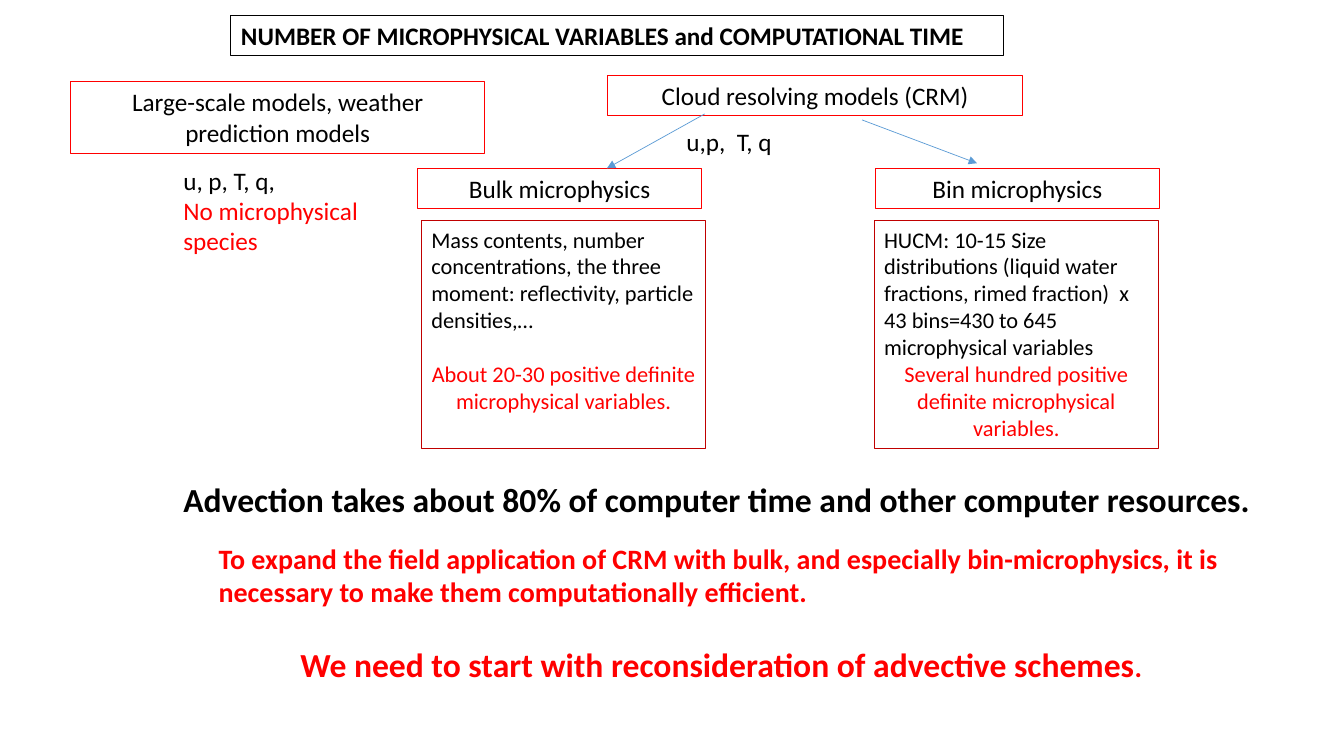
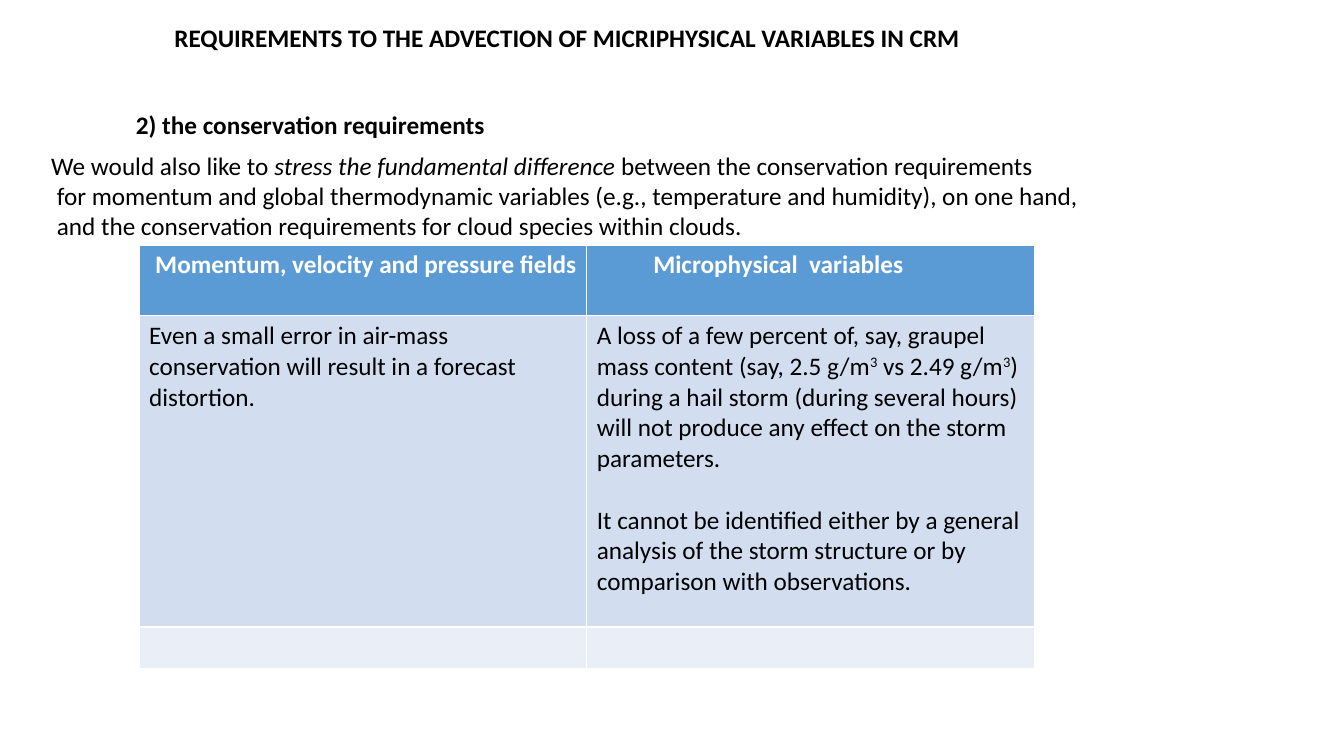
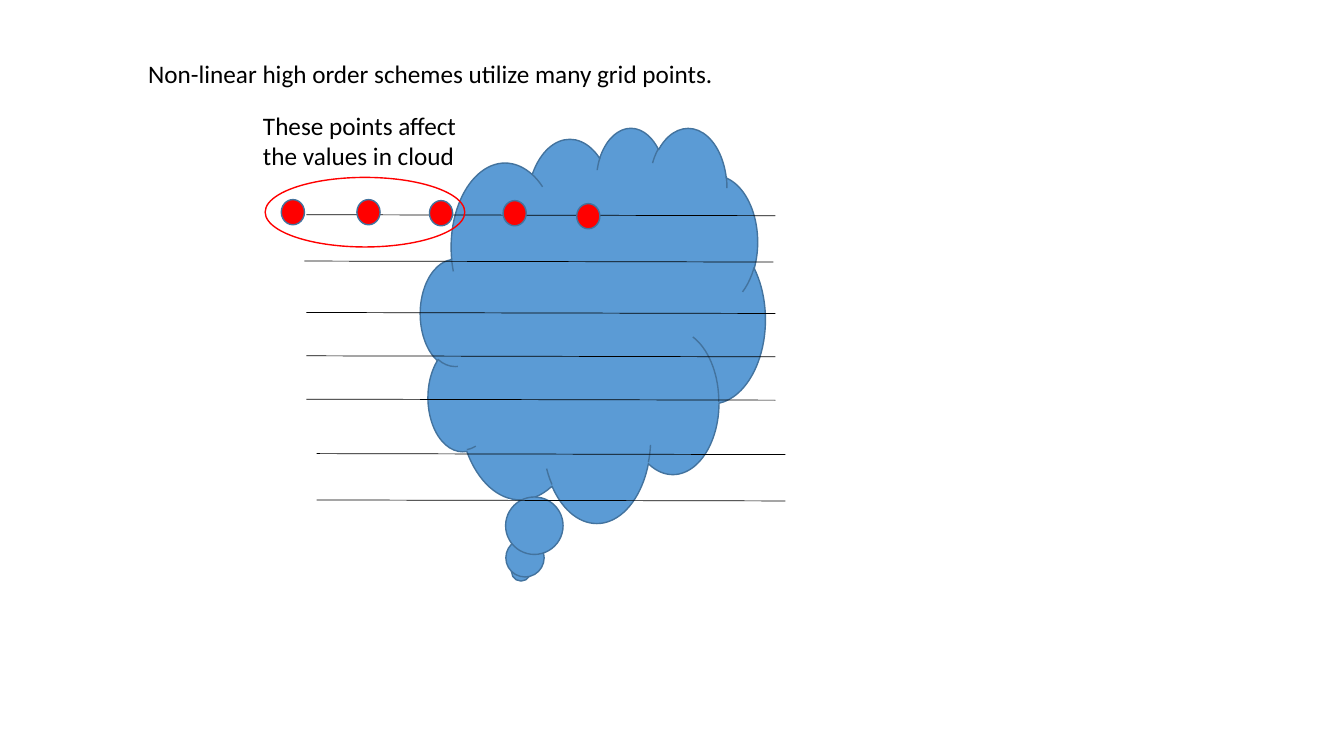
from lxml.etree import SubElement
from pptx import Presentation
from pptx.dml.color import RGBColor
from pptx.enum.shapes import MSO_CONNECTOR as CONN, MSO_SHAPE as SHAPE
from pptx.enum.text import MSO_ANCHOR as ANCHOR, MSO_AUTO_SIZE as AUTO, PP_ALIGN as ALIGN
from pptx.oxml.ns import qn
from pptx.util import Inches, Pt

FONT = "Calibri"
COLORS = {
    "black": "000000", "white": "FFFFFF", "red": "FF0000", "dark_red": "C00000",
    "blue": "5B9BD5", "outline": "43739E", "band": "D2DEEF", "pale": "EAEFF7",
}
RED = {"color": "red"}
SUP = {"base": "30000"}

# Slide 1: boxes are (place, line colour, paragraphs, text size)
# A paragraph is (runs, format); a run is (text, format).
TITLE_1 = "NUMBER OF MICROPHYSICAL VARIABLES and COMPUTATIONAL TIME"
CENTER = {"alignment": ALIGN.CENTER}


def line(text, fmt=None, **para):
    return [(text, fmt or {})], para


MODEL_BOXES = [
    ((0.7, 0.81, 4.11, 0.71), "red",
     [line("Large-scale models, weather prediction models", **CENTER)], 18),
    ((6.03, 0.75, 4.11, 0.4), "red", [line("Cloud resolving models (CRM)", **CENTER)], 18),
    ((4.14, 1.67, 2.82, 0.4), "red", [line("Bulk microphysics", **CENTER)], 18),
    ((8.68, 1.67, 2.82, 0.4), "red", [line("Bin microphysics", **CENTER)], 18),
    ((4.18, 2.19, 2.82, 2.26), "dark_red", [
        line("Mass contents, number concentrations, the three moment: "
             "reflectivity, particle densities,…", space_after=Pt(19.5)),
        line("About 20-30 positive definite microphysical variables.", RED, **CENTER)], 16),
    ((8.67, 2.19, 2.82, 2.26), "dark_red", [
        line("HUCM: 10-15 Size distributions (liquid water fractions, rimed fraction)  x "
             "43 bins=430 to 645 microphysical variables"),
        line("Several hundred positive definite microphysical variables.", RED, **CENTER)], 16),
]
ARROWS = [((6.99, 1.13), (6.02, 1.67)), ((8.55, 1.19), (9.69, 1.62))]
NOTES_1 = [
    ((1.72, 1.59, 2.17, 1.01), [line("u, p, T, q,"), line("No microphysical species", RED)], {}),
    ((6.71, 1.2, 1.32, 0.4), [line("u,p,  T, q")], {}),
    ((1.72, 4.7, 10.83, 0.5),
     [line("Advection takes about 80% of computer time and other computer resources.")],
     {"size": 24, "bold": True}),
    ((2.07, 5.32, 10.37, 0.78),
     [line("To expand the field application of CRM with bulk, and especially "
           "bin-microphysics, it is necessary to make them computationally efficient.")],
     {"size": 20, "bold": True, "color": "red"}),
    ((2.88, 6.34, 9.56, 0.5),
     [([("We need to start with reconsideration of advective schemes", {}),
        (".", {"size": 20})], {})],
     {"size": 24, "bold": True, "color": "red"}),
]

# Slide 2
TITLE_2 = "REQUIREMENTS TO THE ADVECTION OF MICRIPHYSICAL VARIABLES IN CRM"
NOTES_2 = [
    ((1.25, 1.04, 3.67, 0.4), [line("2) the conservation requirements")], {"bold": True}),
    ((0.41, 1.44, 10.51, 1.01), [
        ([("We would also like to ", {}),
          ("stress the fundamental difference", {"italic": True}),
          (" between the conservation requirements", {})], {}),
        line(" for momentum and global thermodynamic variables "
             "(e.g., temperature and humidity), on one hand,"),
        line(" and the conservation requirements for cloud species within clouds.")], {}),
]
TABLE_AT = (1.38, 2.43, 8.88, 4.2)
ROWS = [  # height, fill, text format, cells
    (0.7, "blue", {"bold": True, "color": "white"},
     [[line("Momentum, velocity and pressure fields")], [line("Microphysical  variables")]]),
    (3.09, "band", {"bold": False}, [
        [line("Even a small error in air-mass conservation will result in a forecast distortion.")],
        [([("A loss of a few percent of, say, graupel mass content (say, 2.5 g/m", {}),
           ("3", SUP), (" vs 2.49 g/m", {}), ("3", SUP),
           (") during a hail storm (during several hours) will not produce any effect "
            "on the storm parameters.", {})], {"space_after": Pt(22)}),
         line("It cannot be identified either by a general analysis of the storm structure "
              "or by comparison with observations.")]]),
    (0.41, "pale", {}, [[], []]),
]
HEADER_INDENTS = (0.16, 0.66)

# Slide 3
TITLE_3 = "Non-linear high order schemes utilize many grid points."
NOTES_3 = [((2.51, 1.04, 2.48, 0.71), [line("These points affect the values in cloud")], {})]
CLOUD_AT = (4.17, 1.26, 3.42, 3.92)
GRID_LINES = [(3.04, 2.13), (3.02, 2.59), (3.04, 3.1), (3.04, 3.53),
              (3.04, 3.96), (3.14, 4.5), (3.14, 4.96)]
GRID_LENGTH, GRID_DROP = 4.65, 0.01
POINTS = [(2.79, 1.98), (3.54, 1.98), (4.26, 1.99), (4.99, 1.99), (5.72, 2.02)]
POINT_SIZE = (0.23, 0.25)
RING_AT = (2.63, 1.76, 1.98, 0.69)


# Shared helpers
def rgb(name):
    return RGBColor.from_string(COLORS[name])


def inches(values):
    return [Inches(v) for v in values]


def write(tf, paras, **base):
    tf.word_wrap = True
    for i, (runs, para_fmt) in enumerate(paras):
        p = tf.paragraphs[0] if i == 0 else tf.add_paragraph()
        for name, value in para_fmt.items():
            setattr(p, name, value)
        for text, run_fmt in runs:
            fmt = {"name": FONT, "size": 18, "color": "black", **base, **run_fmt}
            r = p.add_run()
            r.text = text
            r.font.color.rgb = rgb(fmt.pop("color"))
            r.font.size = Pt(fmt.pop("size"))
            if "base" in fmt:
                r.font._element.set("baseline", fmt.pop("base"))
            for name, value in fmt.items():
                setattr(r.font, name, value)


def outline(shape, color, width):
    shape.line.color.rgb = rgb(color)
    shape.line.width = Pt(width)


def add_box(s, kind, at, color, width, fill=None):
    sp = s.shapes.add_shape(kind, *inches(at))
    sp.shadow.inherit = False
    if fill:
        sp.fill.solid()
        sp.fill.fore_color.rgb = rgb(fill)
    else:
        sp.fill.background()
    outline(sp, color, width)
    return sp


def add_line(s, start, end, color, arrow=False):
    c = s.shapes.add_connector(CONN.STRAIGHT, *inches(start + end))
    outline(c, color, 0.5)
    if arrow:
        SubElement(c.line._get_or_add_ln(), qn("a:tailEnd"), type="triangle")
    SubElement(c._element.spPr, qn("a:effectLst"))


def add_slide(prs, title, at, notes, **fmt):
    s = prs.slides.add_slide(prs.slide_layouts[5])
    sp = s.shapes.title
    sp.left, sp.top, sp.width, sp.height = inches(at)
    tf = sp.text_frame
    tf.auto_size, tf.vertical_anchor = AUTO.NONE, ANCHOR.TOP
    write(tf, [line(title, alignment=ALIGN.LEFT)], **fmt)
    for place, paras, note_fmt in notes:
        write(s.shapes.add_textbox(*inches(place)).text_frame, paras, **note_fmt)
    return s


# Slides
def models_slide(prs):
    s = add_slide(prs, TITLE_1, (2.29, 0.15, 7.66, 0.4), NOTES_1, bold=True)
    outline(s.shapes.title, "black", 0.75)
    for at, color, paras, size in MODEL_BOXES:
        tf = add_box(s, SHAPE.RECTANGLE, at, color, 0.75).text_frame
        tf.vertical_anchor = ANCHOR.TOP
        for para in paras:
            para[1].setdefault("alignment", ALIGN.LEFT)
        write(tf, paras, size=size)
    for start, end in ARROWS:
        add_line(s, start, end, "blue", arrow=True)


def requirements_slide(prs):
    s = add_slide(prs, TITLE_2, (1.63, 0.17, 8.07, 0.4), NOTES_2, bold=True)
    table = s.shapes.add_table(len(ROWS), 2, *inches(TABLE_AT)).table
    for i, (height, fill, fmt, cells) in enumerate(ROWS):
        table.rows[i].height = Inches(height)
        for j, paras in enumerate(cells):
            cell = table.cell(i, j)
            cell.fill.solid()
            cell.fill.fore_color.rgb = rgb(fill)
            write(cell.text_frame, paras, **fmt)
    for j, indent in enumerate(HEADER_INDENTS):
        cell = table.cell(0, j)
        cell.margin_left, cell.margin_right = Inches(indent), 0


def cloud_slide(prs):
    s = add_slide(prs, TITLE_3, (1.37, 0.53, 9.97, 0.4), NOTES_3)
    add_box(s, SHAPE.CLOUD_CALLOUT, CLOUD_AT, "outline", 1, "blue")
    for x, y in GRID_LINES:
        add_line(s, (x, y), (x + GRID_LENGTH, y + GRID_DROP), "black")
    for point in POINTS:
        add_box(s, SHAPE.OVAL, point + POINT_SIZE, "outline", 1, "red")
    add_box(s, SHAPE.OVAL, RING_AT, "red", 1)


def main():
    prs = Presentation()
    prs.slide_width, prs.slide_height = Inches(13.33), Inches(7.5)
    models_slide(prs)
    requirements_slide(prs)
    cloud_slide(prs)
    prs.save("out.pptx")


if __name__ == "__main__":
    main()
